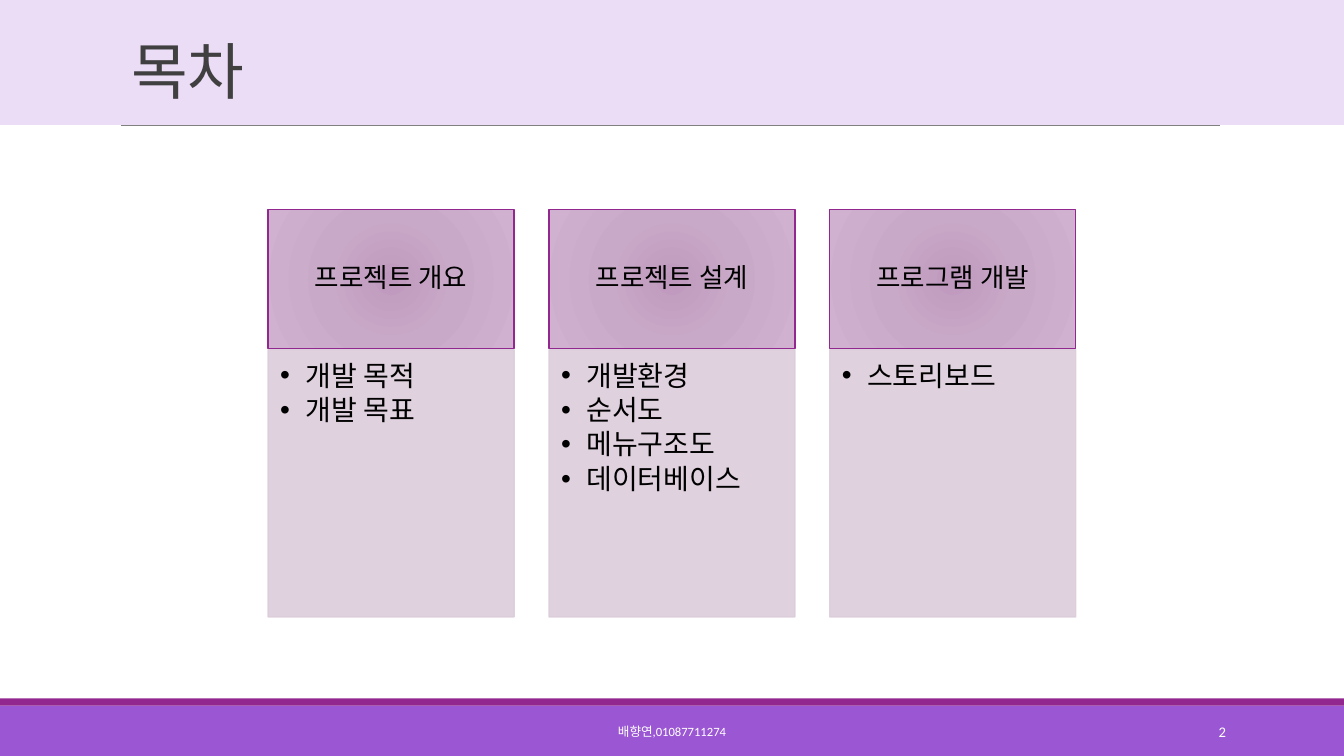
from pptx import Presentation
from pptx.dml.color import RGBColor
from pptx.enum.shapes import MSO_CONNECTOR, MSO_SHAPE
from pptx.enum.text import MSO_ANCHOR, MSO_AUTO_SIZE, PP_ALIGN
from pptx.oxml import parse_xml
from pptx.oxml.ns import nsdecls, qn
from pptx.util import Inches, Pt
from lxml.etree import SubElement

HUES = {
    "band": "EBDDF6", "foot": "9B57D3", "plum": "92278F", "rule": "808080",
    "title": "404040", "panel": "DCCDDB", "black": "000000", "white": "FFFFFF",
}
GLOW = [(0, "BF99BD"), (45, "C9A9C8"), (100, "D1B1D0")]
TOPICS = [
    ("프로젝트 개요", ["개발 목적", "개발 목표"]),
    ("프로젝트 설계", ["개발환경", "순서도", "메뉴구조도", "데이터베이스"]),
    ("프로그램 개발", ["스토리보드"]),
]


def hue(name):
    return RGBColor.from_string(HUES[name])


class Deck:
    font = "Calibri"

    def __init__(self):
        self.prs = Presentation()
        self.prs.slide_width, self.prs.slide_height = Inches(13.33), Inches(7.5)
        self.slide = self.prs.slides.add_slide(self.prs.slide_layouts[5])
        self.shapes = self.slide.shapes

    def rect(self, box, fill=None, line=None, alpha=None):
        shape = self.shapes.add_shape(MSO_SHAPE.RECTANGLE, *map(Inches, box))
        shape.shadow.inherit = False
        if fill:
            shape.fill.solid()
            shape.fill.fore_color.rgb = hue(fill)
        if line:
            shape.line.color.rgb = hue(line)
            shape.line.width = Pt(1)
        else:
            shape.line.fill.background()
        if alpha:
            for tint in shape._element.spPr.iter(qn("a:srgbClr")):
                SubElement(tint, qn("a:alpha"), val=str(alpha * 1000))
        return shape

    def glow(self, shape):
        """Fill a shape with a gradient that spreads from its centre."""
        stops = "".join(
            f'<a:gs pos="{pos * 1000}"><a:srgbClr val="{tint}"/></a:gs>'
            for pos, tint in GLOW)
        shape._element.spPr.insert(2, parse_xml(
            f'<a:gradFill {nsdecls("a")} rotWithShape="1"><a:gsLst>{stops}</a:gsLst>'
            '<a:path path="circle"><a:fillToRect l="50000" t="50000" r="50000"'
            ' b="50000"/></a:path></a:gradFill>'))

    def rule(self, left, right, top):
        line = self.shapes.add_connector(
            MSO_CONNECTOR.STRAIGHT, *map(Inches, (left, top, right, top)))
        line.line.color.rgb = hue("rule")
        line.line.width = Pt(0.5)
        SubElement(line._element.spPr, qn("a:effectLst"))

    def text(self, shape, lines, size, color, align=PP_ALIGN.LEFT,
             anchor=MSO_ANCHOR.MIDDLE, inset=(0.1, 0.05, 0.1, 0.05),
             lead=1.0, after=0, bullet=False):
        frame = shape.text_frame
        left, top, right, bottom = map(Inches, inset)
        form = {"word_wrap": True, "auto_size": MSO_AUTO_SIZE.NONE,
                "vertical_anchor": anchor, "margin_left": left,
                "margin_top": top, "margin_right": right, "margin_bottom": bottom}
        for key, value in form.items():
            setattr(frame, key, value)
        for i, words in enumerate(lines):
            par = frame.add_paragraph() if i else frame.paragraphs[0]
            par.alignment, par.line_spacing = align, lead
            run = par.add_run()
            run.text = words
            for key, value in {"size": Pt(size), "name": self.font}.items():
                setattr(run.font, key, value)
            run.font.color.rgb = hue(color)
            props = par._p.get_or_add_pPr()
            if after:
                gap = SubElement(props, qn("a:spcAft"))
                SubElement(gap, qn("a:spcPct"), val=str(after * 1000))
            if bullet:
                props.set("marL", str(Inches(0.25)))
                props.set("indent", str(-Inches(0.25)))
                SubElement(props, qn("a:buFont"), typeface="Arial")
                SubElement(props, qn("a:buChar"), char="•")

    def label(self, box, words, size, align):
        shape = self.shapes.add_textbox(*map(Inches, box))
        self.text(shape, [words], size, "white", align)

    def title(self, box, words):
        shape = self.shapes.title
        names = ("left", "top", "width", "height")
        for key, value in zip(names, map(Inches, box)):
            setattr(shape, key, value)
        self.text(shape, [words], 44, "title", anchor=MSO_ANCHOR.BOTTOM, lead=0.85)
        run = shape.text_frame.paragraphs[0].runs[0]
        run._r.get_or_add_rPr().set("spc", "-50")
        # Bring the title in front of the header band
        self.shapes._spTree.append(shape._element)

    def card(self, left, head, items):
        top = self.rect((left, 2.08, 2.44, 1.38), line="plum")
        self.glow(top)
        self.text(top, [head], 19, "black", PP_ALIGN.CENTER,
                  inset=(0.15, 0.08, 0.15, 0.08), lead=0.9, after=35)
        body = self.rect((left, 3.47, 2.44, 2.65), "panel", "panel", alpha=90)
        self.text(body, items, 20, "black", anchor=MSO_ANCHOR.TOP,
                  inset=(0.12, 0.12, 0.16, 0.17), lead=0.9, after=15, bullet=True)


def main():
    deck = Deck()
    # Header and footer bands
    deck.rect((0, 0, 13.33, 1.24), "band")
    deck.rect((0, 7, 13.33, 0.5), "foot")
    deck.rect((0, 6.93, 13.33, 0.07), "plum")
    deck.rule(1.2, 12.1, 1.24)
    deck.title((1.2, 0.31, 11, 0.8), "목차")
    # Footer text and page number
    deck.label((4.03, 7.06, 5.27, 0.4), "배향연,01087711274", 9, PP_ALIGN.CENTER)
    deck.label((10.83, 7.06, 1.43, 0.4), "2", 10.5, PP_ALIGN.RIGHT)
    # Topic cards
    for i, (head, items) in enumerate(TOPICS):
        deck.card(2.66 + i * 2.785, head, items)
    deck.prs.save("out.pptx")


if __name__ == "__main__":
    main()
